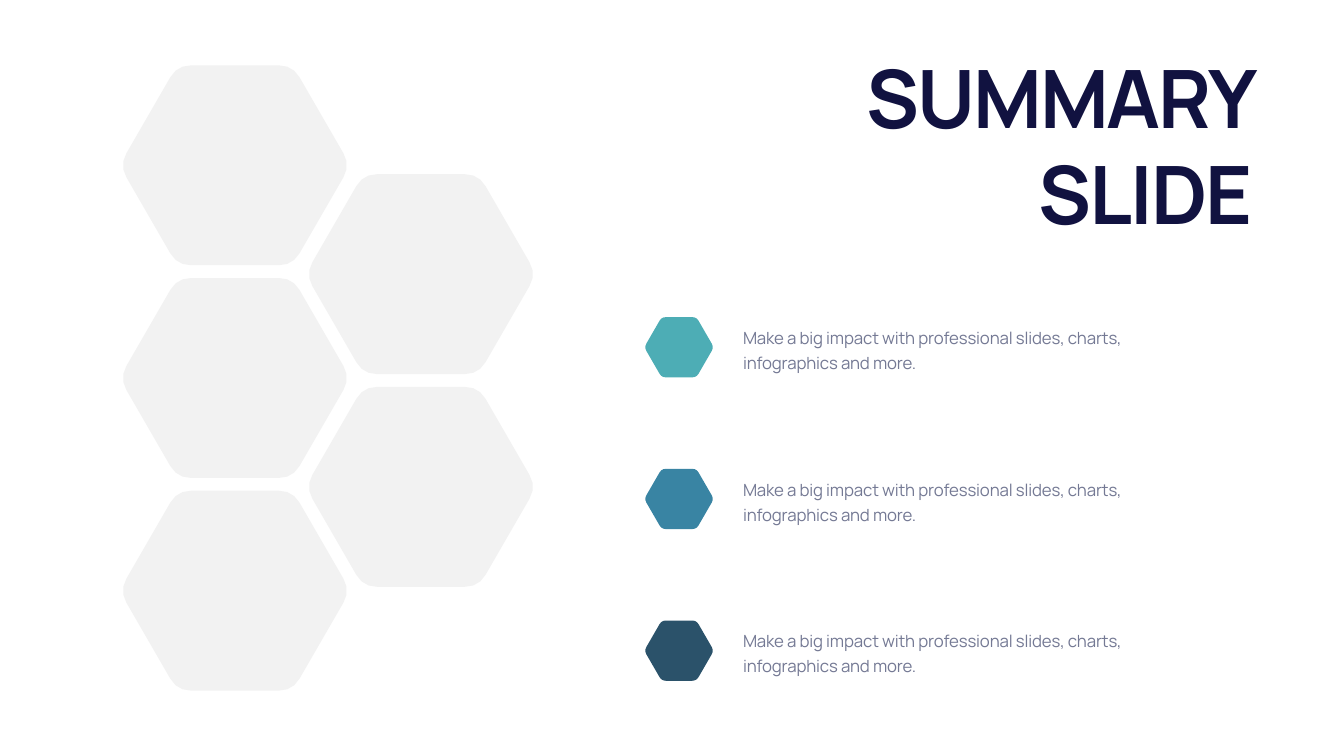
"""Build a summary slide with a honeycomb and three hexagon-marked points."""
from math import cos, pi, sin

from pptx import Presentation
from pptx.dml.color import RGBColor
from pptx.enum.text import MSO_ANCHOR, MSO_AUTO_SIZE, PP_ALIGN
from pptx.util import Inches, Pt

BOTTOM, TOP = MSO_ANCHOR.BOTTOM, MSO_ANCHOR.TOP
LEFT, RIGHT = PP_ALIGN.LEFT, PP_ALIGN.RIGHT
FIT_SHAPE, NO_FIT = MSO_AUTO_SIZE.SHAPE_TO_FIT_TEXT, MSO_AUTO_SIZE.NONE
TITLE_ONLY = 5
FONT = "Manrope"
COLORS = {"cell": "F2F2F2", "title": "111240", "body": "747994",
          "teal": "4DADB5", "blue": "3984A3", "navy": "2B526A"}
POINT = "Make a big impact with professional slides, charts, infographics and more."
CELL_RADIUS, MARK_RADIUS = 2.29, 0.69
CELL_X, CELL_Y, COL_STEP, ROW_STEP, COL_DROP = 4.66, 3.28, 3.69, 4.22, 2.16
MARK_X, MARK_Y, POINT_STEP = 13.47, 6.89, 3.01


def rgb(name):
    return RGBColor.from_string(COLORS[name])


def hexagon_points(cx, cy, radius, cut=0.12, steps=3):
    """Return the outline of a regular hexagon with rounded corners."""
    corners = [(cx + radius * cos(i * pi / 3), cy + radius * sin(i * pi / 3))
               for i in range(6)]
    points = []
    for i, corner in enumerate(corners):
        start, end = ([c + (n - c) * cut for c, n in zip(corner, near)]
                      for near in (corners[i - 1], corners[(i + 1) % 6]))
        for t in (k / steps for k in range(steps + 1)):
            points.append(tuple(
                Inches((1 - t) ** 2 * a + 2 * t * (1 - t) * c + t * t * b)
                for a, c, b in zip(start, corner, end)))
    return points


def add_hexagons(slide, centers, radius, color):
    """Draw hexagons around the centers as one shape."""
    outlines = [hexagon_points(cx, cy, radius) for cx, cy in centers]
    builder = slide.shapes.build_freeform(*outlines[0][0])
    for i, outline in enumerate(outlines):
        if i:
            builder.move_to(*outline[0])
        builder.add_line_segments(outline[1:], close=True)
    sp = builder.convert_to_shape()
    sp.shadow.inherit = False
    sp.fill.solid()
    sp.fill.fore_color.rgb = rgb(color)
    sp.line.fill.background()


def set_text(sp, text, size, color, spacing, line, align, anchor, fit, bold=False):
    """Fill a text shape and format its only run."""
    tf = sp.text_frame
    tf.text = text
    tf.word_wrap = True
    tf.auto_size = fit
    tf.vertical_anchor = anchor
    p = tf.paragraphs[0]
    p.alignment = align
    p.line_spacing = line
    p.space_before = Pt(0)
    r = p.runs[0]
    r.font.name = FONT
    r.font.size = Pt(size)
    r.font.bold = bold
    r.font.color.rgb = rgb(color)
    r.font._element.set("spc", str(round(spacing * 100)))


def add_title(slide, text):
    """Place and format the title placeholder."""
    sp = slide.shapes.title
    sp.left, sp.top, sp.width, sp.height = map(Inches, (14.14, 0.86, 10.81, 3.97))
    set_text(sp, text, 115, "title", -2.9, 1.0, RIGHT, BOTTOM, NO_FIT, bold=True)


def add_point(slide, cy, text, color):
    """Add a line of text with its hexagon marker."""
    sp = slide.shapes.add_textbox(*map(Inches, (14.64, cy - 0.54, 8.82, 1.08)))
    set_text(sp, text, 24, "body", -0.2, Pt(36), LEFT, TOP, FIT_SHAPE)
    add_hexagons(slide, [(MARK_X, cy)], MARK_RADIUS, color)


def main():
    """Build and save the slide."""
    prs = Presentation()
    prs.slide_width, prs.slide_height = Inches(26.66), Inches(15)
    slide = prs.slides.add_slide(prs.slide_layouts[TITLE_ONLY])
    cells = [(CELL_X + col * COL_STEP, CELL_Y + col * COL_DROP + row * ROW_STEP)
             for col, rows in enumerate((3, 2)) for row in range(rows)]
    add_hexagons(slide, cells, CELL_RADIUS, "cell")
    add_title(slide, "SUMMARY SLIDE")
    for i, color in enumerate(("teal", "blue", "navy")):
        add_point(slide, MARK_Y + i * POINT_STEP, POINT, color)
    prs.save("out.pptx")


main()
